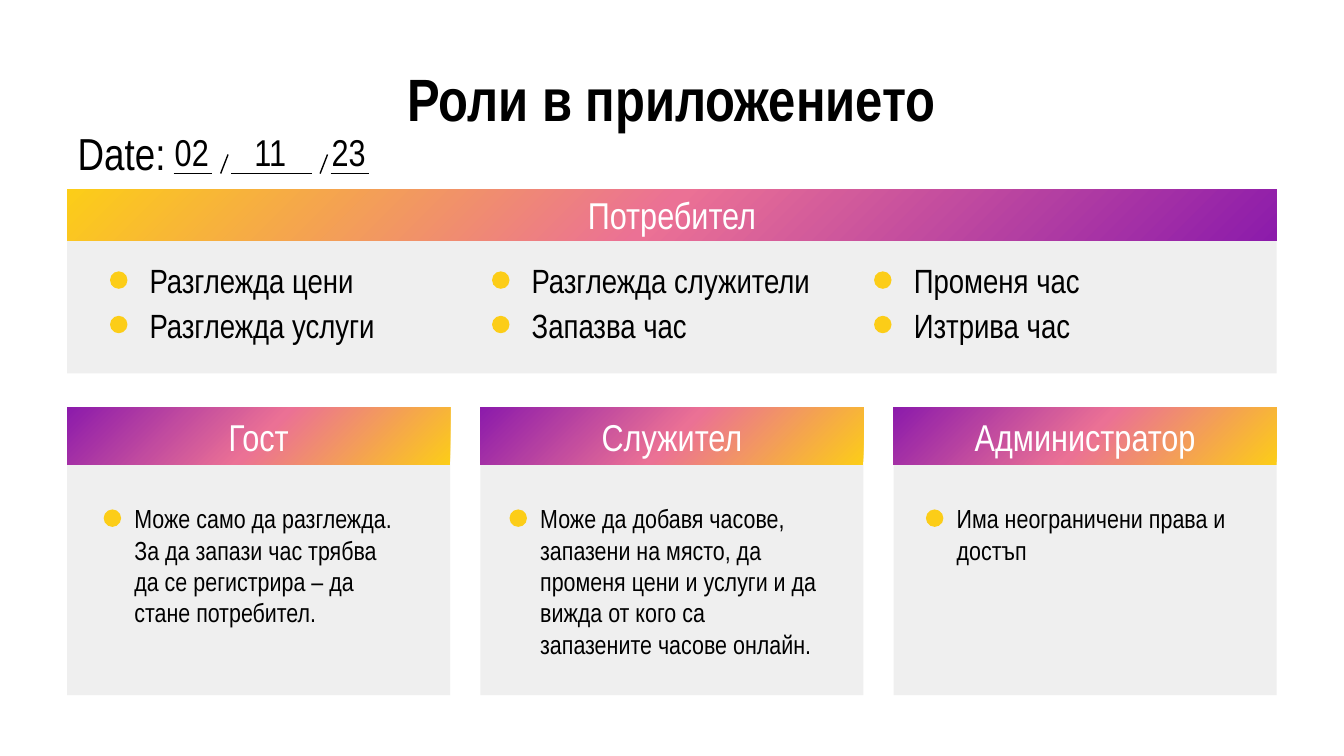
from copy import deepcopy
from lxml.etree import SubElement
from pptx import Presentation
from pptx.dml.color import RGBColor
from pptx.enum.shapes import MSO_CONNECTOR as CONN, MSO_SHAPE as SHAPE
from pptx.enum.text import MSO_ANCHOR as ANCHOR, PP_ALIGN as ALIGN
from pptx.oxml.ns import qn
from pptx.util import Cm, Pt

FONT = "Arial Narrow"
BLACK, WHITE, PANEL, YELLOW = "000000", "FFFFFF", "EFEFEF", "FCCD18"
BLEND = [(0, YELLOW), (0.49, "EB7195"), (1, "8C1BAB")]
DOT = 0.33

USER_ACTIONS = [
    ["Разглежда цени", "Разглежда услуги"],
    ["Разглежда служители", "Запазва час"],
    ["Променя час", "Изтрива час"],
]
# Role, description, bullet offset from the card edge, text width
ROLES = [
    ("Гост", "Може само да разглежда. За да запази час трябва да се регистрира"
     " – да стане потребител.", 0.69, 5.56),
    ("Служител", "Може да добавя часове, запазени на място, да променя цени и услуги"
     " и да вижда от кого са запазените часове онлайн.", 0.55, 5.77),
    ("Администратор", "Има неограничени права и достъп", 0.61, 5.77),
]


def rgb(hex_color):
    return RGBColor.from_string(hex_color)


def write(shape, text, size, color=BLACK, align=ALIGN.LEFT, anchor=ANCHOR.MIDDLE,
          bold=False, inset=0.25):
    frame = shape.text_frame
    frame.word_wrap = True
    frame.vertical_anchor = anchor
    frame.margin_left = frame.margin_right = Cm(0.25)
    frame.margin_top = frame.margin_bottom = Cm(inset)
    frame.text = text
    paragraph = frame.paragraphs[0]
    paragraph.alignment = align
    font = paragraph.runs[0].font
    font.name, font.size, font.bold = FONT, Pt(size), bold
    font.color.rgb = rgb(color)


def add_text(slide, box, text, size, **style):
    write(slide.shapes.add_textbox(*map(Cm, box)), text, size, **style)


def add_block(slide, box, color=None, kind=SHAPE.RECTANGLE):
    block = slide.shapes.add_shape(kind, *map(Cm, box))
    block.shadow.inherit = False
    block.line.fill.background()
    if color:
        block.fill.solid()
        block.fill.fore_color.rgb = rgb(color)
    return block


def add_dot(slide, left, top):
    add_block(slide, (left, top, DOT, DOT), YELLOW, SHAPE.OVAL)


def add_line(slide, x1, y1, x2, y2):
    line = slide.shapes.add_connector(CONN.STRAIGHT, *map(Cm, (x1, y1, x2, y2)))
    line.line.color.rgb = rgb(BLACK)
    line.line.width = Pt(0.75)
    SubElement(line._element.spPr, qn("a:effectLst"))


def add_panel(slide, box, heading, heading_height, angle):
    """Grey panel with a gradient heading along its top."""
    left, top, width, _ = box
    add_block(slide, box, PANEL)
    header = add_block(slide, (left, top, width, heading_height))
    header.fill.gradient()
    # The default gradient has two stops; a third is needed
    stop_list = header._element.spPr.find(".//" + qn("a:gsLst"))
    stop_list.append(deepcopy(stop_list[0]))
    for stop, (position, color) in zip(header.fill.gradient_stops, BLEND):
        stop.position = position
        stop.color.rgb = rgb(color)
    header.fill.gradient_angle = angle
    write(header, heading, 20, WHITE, ALIGN.CENTER)


def add_date(slide, left, top):
    add_text(slide, (left, top + 0.05, 2.41, 0.69), "Date:", 24)
    base = top + 0.79
    slots = [("02", 2.06, 0.73), ("11", 3.15, 1.52), ("23", 5.03, 0.72)]
    for index, (number, offset, width) in enumerate(slots):
        start = left + offset
        add_line(slide, start, base, start + width, base)
        if index:
            add_line(slide, start - 0.06, base - 0.36, start - 0.2, base)
        add_text(slide, (start - 0.24, top, width + 0.44, 0.76), number, 20,
                 align=ALIGN.CENTER)


def add_user_panel(slide, box):
    left, top, _, _ = box
    add_panel(slide, box, "Потребител", 0.97, 315)
    for column, actions in enumerate(USER_ACTIONS):
        for row, action in enumerate(actions):
            x = left + 0.81 + column * 7.22
            y = top + 1.3 + row * 0.84
            add_text(slide, (x + 0.5, y, 7.09, 0.84), action, 18)
            add_dot(slide, x, y + 0.25)


def add_role_card(slide, box, role, description, indent, text_width):
    left, top, _, height = box
    add_panel(slide, box, role, 1.09, 135)
    x, y = left + indent, top + 1.67
    add_text(slide, (x + DOT, y, text_width, height - 2), description, 14,
             anchor=ANCHOR.TOP, inset=0.13)
    add_dot(slide, x, y + 0.26)


def add_role_cards(slide, box, gap=0.57):
    left, top, width, height = box
    card_width = (width - gap * (len(ROLES) - 1)) / len(ROLES)
    for index, role in enumerate(ROLES):
        x = left + index * (card_width + gap)
        add_role_card(slide, (x, top, card_width, height), *role)


def main():
    prs = Presentation()
    prs.slide_width, prs.slide_height = Cm(25.4), Cm(14.29)
    slide = prs.slides.add_slide(prs.slide_layouts[6])
    add_text(slide, (1.22, 0.91, 22.96, 1.6), "Роли в приложението", 32,
             align=ALIGN.CENTER, anchor=ANCHOR.TOP, bold=True)
    add_user_panel(slide, (1.27, 3.58, 22.86, 3.48))
    add_date(slide, 1.22, 2.49)
    add_role_cards(slide, (1.27, 7.7, 22.86, 5.44))
    prs.save("out.pptx")


if __name__ == "__main__":
    main()
